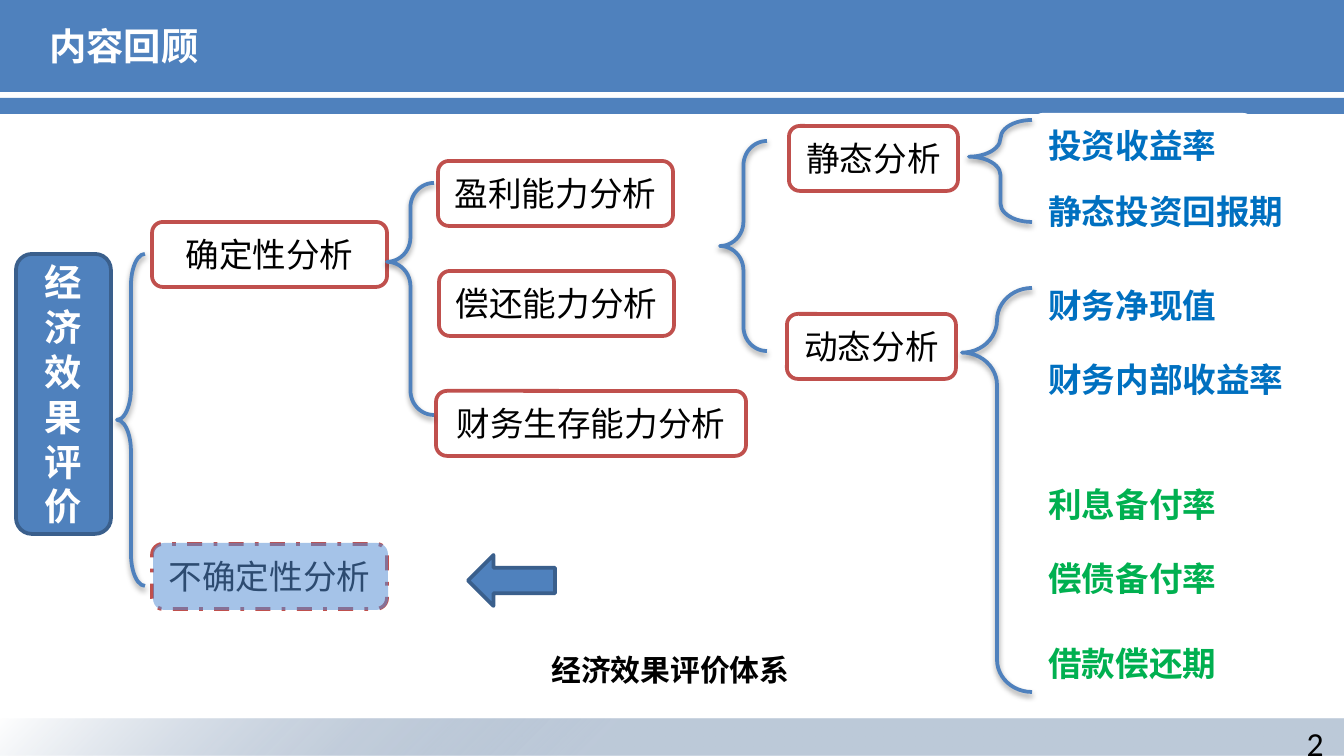
from lxml import etree
from pptx import Presentation
from pptx.dml.color import RGBColor
from pptx.enum.dml import MSO_LINE
from pptx.enum.shapes import MSO_SHAPE
from pptx.enum.text import MSO_ANCHOR, PP_ALIGN
from pptx.util import Emu, Pt

RECTANGLE = MSO_SHAPE.RECTANGLE
ROUNDED = MSO_SHAPE.ROUNDED_RECTANGLE
ALTERNATE_PROCESS = MSO_SHAPE.FLOWCHART_ALTERNATE_PROCESS
LEFT_BRACE = MSO_SHAPE.LEFT_BRACE
LEFT_ARROW = MSO_SHAPE.LEFT_ARROW
DASH_DOT = MSO_LINE.DASH_DOT
LEFT, CENTER, RIGHT = PP_ALIGN.LEFT, PP_ALIGN.CENTER, PP_ALIGN.RIGHT
TOP, MIDDLE = MSO_ANCHOR.TOP, MSO_ANCHOR.MIDDLE

PX = 914400 / 134.4
BLUE, NAVY, RED = "4F81BD", "3A5F8C", "C0504D"
SKY, GREEN, WHITE, BLACK = "0070C0", "00B050", "FFFFFF", "000000"
BOX_HEIGHT = 65
DRAWING = "http://schemas.openxmlformats.org/drawingml/2006/main"
BRACE_SHADOW = (
    f'<a:effectLst xmlns:a="{DRAWING}"><a:outerShdw blurRad="40000" dist="20000" '
    'dir="5400000" rotWithShape="0"><a:srgbClr val="000000"><a:alpha val="38000"/>'
    '</a:srgbClr></a:outerShdw></a:effectLst>')
FOOTER_FILL = (
    f'<a:gradFill xmlns:a="{DRAWING}" rotWithShape="1"><a:gsLst>'
    '<a:gs pos="55000"><a:srgbClr val="1F497D"><a:alpha val="29000"/></a:srgbClr></a:gs>'
    '<a:gs pos="100000"><a:srgbClr val="FFFFFF"><a:alpha val="69000"/></a:srgbClr></a:gs>'
    '</a:gsLst><a:path path="circle"><a:fillToRect l="100000" t="100000"/></a:path>'
    '</a:gradFill>')


def color(value):
    """Turn a hex string into a colour."""
    return RGBColor.from_string(value)


def place(region, left, top, width, height):
    """Turn px relative to a region into EMU on the slide."""
    pixels = (region[0] + left, region[1] + top, width, height)
    return [Emu(round(value * PX)) for value in pixels]


def write(shape, text, size, ink, bold=False, align=LEFT, anchor=MIDDLE, font="Arial"):
    """Write one run of text into a shape."""
    frame = shape.text_frame
    frame.word_wrap = True
    frame.vertical_anchor = anchor
    paragraph = frame.paragraphs[0]
    paragraph.alignment = align
    run = paragraph.add_run()
    run.text = text
    run.font.name = font
    run.font.size = Pt(size)
    run.font.bold = bold
    run.font.color.rgb = color(ink)


def add_label(slide, region, box, text, size, ink, **style):
    """Add a plain text box."""
    write(slide.shapes.add_textbox(*place(region, *box)), text, size, ink, **style)


def add_block(slide, region, box, kind=RECTANGLE, fill=None, line=None):
    """Add a preset shape with an optional fill and outline."""
    shape = slide.shapes.add_shape(kind, *place(region, *box))
    shape.shadow.inherit = False
    if fill:
        shape.fill.solid()
        shape.fill.fore_color.rgb = color(fill)
    else:
        shape.fill.background()
    if line:
        shape.line.color.rgb = color(line)
        shape.line.width = Pt(2)
    else:
        shape.line.fill.background()
    return shape


def add_brace(slide, region, box, curve, tip):
    """Add a shadowed left brace whose tip sits at a share of its height."""
    brace = add_block(slide, region, box, LEFT_BRACE, line=BLUE)
    brace.adjustments[0] = curve
    brace.adjustments[1] = tip
    properties = brace._element.spPr
    properties.remove(properties.find(f"{{{DRAWING}}}effectLst"))
    properties.append(etree.fromstring(BRACE_SHADOW))


def add_header(slide, region):
    """Draw the title band and the stripe below it."""
    width = region[2]
    add_block(slide, region, (0, -1, width, 93), fill=BLUE)
    add_block(slide, region, (-1, 98, width + 1, 16), fill=BLUE)
    add_label(slide, region, (36, 3, 1270, 86), "内容回顾", 20, WHITE, bold=True)


def add_footer(slide, region):
    """Draw the shaded band and the page number."""
    band = add_block(slide, region, (0, 0, region[2], region[3]))
    properties = band._element.spPr
    empty_fill = properties.find(f"{{{DRAWING}}}noFill")
    properties.replace(empty_fill, etree.fromstring(FOOTER_FILL))
    add_label(slide, region, (1024, -3, 313, 40), "2", 18, BLACK,
              align=RIGHT, anchor=TOP, font="Calibri")


def add_analysis_tree(slide, region):
    """Draw the root, the analysis boxes and their braces."""
    root = add_block(slide, region, (0, 128, 95, 280), ALTERNATE_PROCESS, BLUE, NAVY)
    write(root, "经济效果评价", 20, WHITE, bold=True, align=CENTER)
    boxes = {}
    for text, left, top, width in (
            ("确定性分析", 136, 96, 235),
            ("不确定性分析", 136, 418, 235),
            ("盈利能力分析", 422, 35, 235),
            ("偿还能力分析", 423, 145, 235),
            ("财务生存能力分析", 420, 265, 310),
            ("静态分析", 773, 0, 169),
            ("动态分析", 771, 188, 169)):
        box = add_block(slide, region, (left, top, width, BOX_HEIGHT), ROUNDED, WHITE, RED)
        write(box, text, 18, BLACK, align=CENTER)
        box.text_frame.word_wrap = False
        boxes[text] = box
    boxes["不确定性分析"].line.dash_style = DASH_DOT
    add_brace(slide, region, (101, 128, 28, 332), 1.13, 0.5)
    add_brace(slide, region, (371, 57, 47, 232), 0.52, 0.34)
    add_brace(slide, region, (704, 15, 47, 210), 0.52, 0.5)
    highlight = add_block(slide, region, (137, 417, 235, 67), ROUNDED, "558ED5")
    tint = highlight._element.spPr.find(f".//{{{DRAWING}}}srgbClr")
    etree.SubElement(tint, f"{{{DRAWING}}}alpha", val="53000")
    add_block(slide, region, (452, 429, 87, 51), LEFT_ARROW, BLUE, NAVY)
    add_label(slide, region, (522, 519, 328, 50), "经济效果评价体系", 16, BLACK,
              bold=True, anchor=TOP)


def add_indicators(slide, region):
    """Draw the list of indicators and the braces that group them."""
    for text, top, width, ink in (
            ("投资收益率", 0, 222, SKY),
            ("静态投资回报期", 66, 306, SKY),
            ("财务净现值", 160, 216, SKY),
            ("财务内部收益率", 234, 276, SKY),
            ("利息备付率", 359, 216, GREEN),
            ("偿债备付率", 433, 216, GREEN),
            ("借款偿还期", 518, 216, GREEN)):
        box = add_block(slide, region, (70, top, width, BOX_HEIGHT), ROUNDED, WHITE)
        write(box, text, 18, ink, bold=True)
    add_brace(slide, region, (7, 7, 63, 102), 0.52, 0.36)
    add_brace(slide, region, (0, 175, 70, 404), 0.52, 0.16)


def main():
    """Build the slide and save it."""
    presentation = Presentation()
    presentation.slide_width, presentation.slide_height = place((0, 0), 0, 0, 1344, 756)[2:]
    slide = presentation.slides.add_slide(presentation.slide_layouts[6])
    add_header(slide, (0, 0, 1344, 114))
    add_footer(slide, (0, 719, 1344, 37))
    add_analysis_tree(slide, (16, 126, 942, 569))
    add_indicators(slide, (962, 113, 376, 583))
    presentation.save("out.pptx")


if __name__ == "__main__":
    main()
